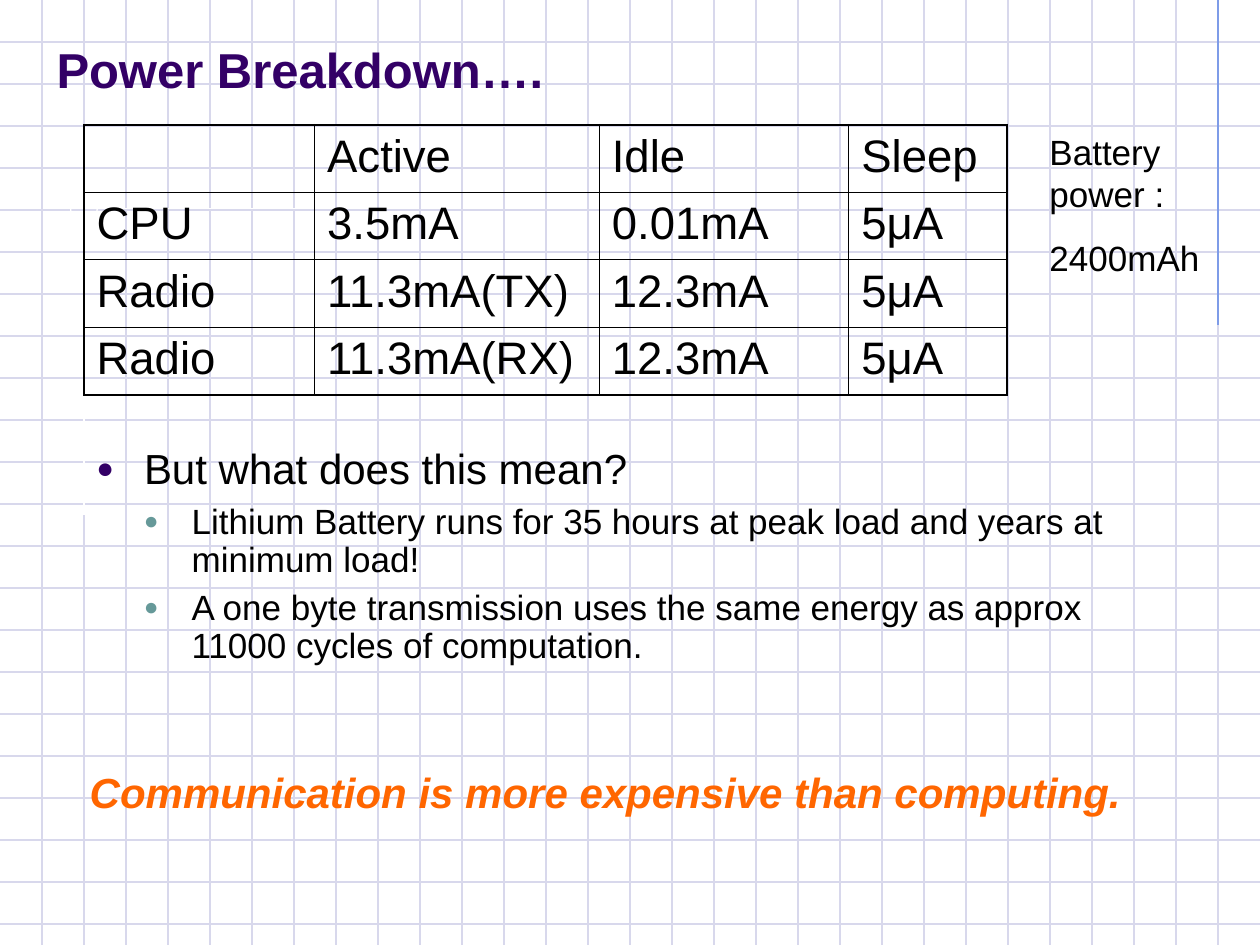
import math

import lxml.etree
import pptx
import pptx.dml.color
import pptx.enum.shapes
import pptx.enum.text
import pptx.oxml.ns
import pptx.util

Pt = pptx.util.Pt
ALIGN = pptx.enum.text.PP_ALIGN
ANCHOR = pptx.enum.text.MSO_ANCHOR

# Content
TITLE = "Power Breakdown…."
TABLE_ROWS = [
    ["", "Active", "Idle", "Sleep"],
    ["CPU", "3.5mA", "0.01mA", "5μA"],
    ["Radio", "11.3mA(TX)", "12.3mA", "5μA"],
    ["Radio", "11.3mA(RX)", "12.3mA", "5μA"],
]
BULLETS = [
    (0, "But what does this mean?"),
    (1, "Lithium Battery runs for 35 hours at peak load and years at minimum load!"),
    (1, "A one byte transmission uses the same energy as approx 11000 cycles of computation."),
]
CONCLUSION = "Communication is more expensive than computing."
BATTERY = ["Battery power :", "2400mAh"]

# Layout in points
WIDTH, HEIGHT, GRID = 720, 540, 24
TABLE_LEFT, TABLE_TOP, ROW_HEIGHT = 48, 71.3, 38.6
COLUMN_WIDTHS = [131.8, 162.7, 142.6, 90.4]
BULLET_INDENT = 27.2
BULLET_LEVELS = [("330066", 24), ("669999", 20)]  # bullet colour, text size
OUTER_BORDER, INNER_BORDER = 1.08, 0.45


def color(value):
    return pptx.dml.color.RGBColor.from_string(value)


def add_xml(parent, tag, **attributes):
    element = lxml.etree.SubElement(parent, pptx.oxml.ns.qn(tag))
    for name, value in attributes.items():
        element.set(name, str(value))
    return element


def write(paragraph, text, size=20, fill="000000", bold=False, italic=False,
          align=ALIGN.LEFT, before=0, spacing=None):
    paragraph.alignment = align
    paragraph.space_before = Pt(before)
    if spacing:
        paragraph.line_spacing = spacing
    run = paragraph.add_run()
    run.text = text
    for font in (paragraph.font, run.font):
        font.name, font.size = "Arial", Pt(size)
        font.bold, font.italic = bold, italic
        font.color.rgb = color(fill)


def add_text_box(slide, left, top, width, height, anchor=ANCHOR.TOP):
    box = slide.shapes.add_textbox(Pt(left), Pt(top), Pt(width), Pt(height))
    frame = box.text_frame
    frame.word_wrap = True
    frame.vertical_anchor = anchor
    return frame


def next_paragraph(frame, index):
    return frame.add_paragraph() if index else frame.paragraphs[0]


def add_line(slide, x1, y1, x2, y2, fill):
    line = slide.shapes.add_connector(
        pptx.enum.shapes.MSO_CONNECTOR.STRAIGHT, Pt(x1), Pt(y1), Pt(x2), Pt(y2))
    line.line.color.rgb = color(fill)
    line.line.width = Pt(0.75)
    add_xml(line._element.spPr, "a:effectLst")


def add_background(slide):
    slide.background.fill.solid()
    slide.background.fill.fore_color.rgb = color("FFFFFF")
    for y in range(GRID, HEIGHT, GRID):
        add_line(slide, 0, y, WIDTH, y, "D8D8EC")
    for x in range(GRID, WIDTH, GRID):
        add_line(slide, x, 0, x, HEIGHT, "D8D8EC")
    add_line(slide, 696, 0, 696, 185.8, "7E9CE8")

    # White cross lines with a three-quarter ring where they meet
    center_x, center_y, radius = 48, 119.2, 7.6
    add_line(slide, 172.8, center_y, 32.4, center_y, "FFFFFF")
    add_line(slide, center_x, 111.6, center_x, 294.5, "FFFFFF")
    points = []
    for degrees in range(90, 361, 10):
        angle = math.radians(degrees)
        points.append((Pt(center_x + radius * math.cos(angle)),
                       Pt(center_y - radius * math.sin(angle))))
    builder = slide.shapes.build_freeform(*points[0])
    builder.add_line_segments(points[1:], close=False)
    ring = builder.convert_to_shape()
    ring.shadow.inherit = False
    ring.fill.background()
    ring.line.color.rgb = color("FFFFFF")
    ring.line.width = Pt(0.75)


def set_borders(cell, outer_sides):
    properties = cell._tc.get_or_add_tcPr()
    for index, side in enumerate(("L", "R", "T", "B")):
        width = OUTER_BORDER if side in outer_sides else INNER_BORDER
        border = lxml.etree.Element(pptx.oxml.ns.qn("a:ln" + side), w=str(int(Pt(width))))
        add_xml(add_xml(border, "a:solidFill"), "a:srgbClr", val="000000")
        properties.insert(index, border)


def add_power_table(slide):
    row_count, column_count = len(TABLE_ROWS), len(COLUMN_WIDTHS)
    table = slide.shapes.add_table(
        row_count, column_count, Pt(TABLE_LEFT), Pt(TABLE_TOP),
        Pt(sum(COLUMN_WIDTHS)), Pt(ROW_HEIGHT * row_count)).table
    table.first_row = table.horz_banding = False
    for column, width in zip(table.columns, COLUMN_WIDTHS):
        column.width = Pt(width)
    for r, values in enumerate(TABLE_ROWS):
        table.rows[r].height = Pt(ROW_HEIGHT)
        for c, value in enumerate(values):
            cell = table.cell(r, c)
            cell.fill.background()
            edges = {"L": c == 0, "R": c == column_count - 1,
                     "T": r == 0, "B": r == row_count - 1}
            set_borders(cell, [side for side, outer in edges.items() if outer])
            write(cell.text_frame.paragraphs[0], value, size=26)


def add_bullets(slide):
    frame = add_text_box(slide, 48, 252.7, 614, 147.6)
    for index, (level, text) in enumerate(BULLETS):
        bullet_color, size = BULLET_LEVELS[level]
        paragraph = next_paragraph(frame, index)
        paragraph.level = level
        properties = paragraph._p.get_or_add_pPr()
        properties.set("marL", str(int(Pt(BULLET_INDENT * (level + 1)))))
        properties.set("indent", str(int(Pt(-BULLET_INDENT))))
        add_xml(add_xml(properties, "a:buClr"), "a:srgbClr", val=bullet_color)
        add_xml(properties, "a:buSzPct", val=70000)
        add_xml(properties, "a:buFont", typeface="Arial")
        add_xml(properties, "a:buChar", char="●")
        write(paragraph, text, size=size, before=6 if index else 0, spacing=0.9)


def main():
    presentation = pptx.Presentation()
    presentation.slide_width, presentation.slide_height = Pt(WIDTH), Pt(HEIGHT)
    slide = presentation.slides.add_slide(presentation.slide_layouts[6])
    add_background(slide)

    # Title
    title = add_text_box(slide, 25.2, 15.1, 594, 44.6, anchor=ANCHOR.BOTTOM)
    write(title.paragraphs[0], TITLE, size=28, fill="330066", bold=True)

    # Body and table
    add_bullets(slide)
    add_power_table(slide)

    # Conclusion
    conclusion = add_text_box(slide, 42.5, 434.2, 607, 36)
    write(conclusion.paragraphs[0], CONCLUSION, size=24, fill="FF6600",
          bold=True, italic=True, align=ALIGN.CENTER)

    # Battery note
    battery = add_text_box(slide, 592.6, 71.3, 102.2, 92.2)
    for index, text in enumerate(BATTERY):
        write(next_paragraph(battery, index), text, before=12.5 if index else 0)

    presentation.save("out.pptx")


if __name__ == "__main__":
    main()
